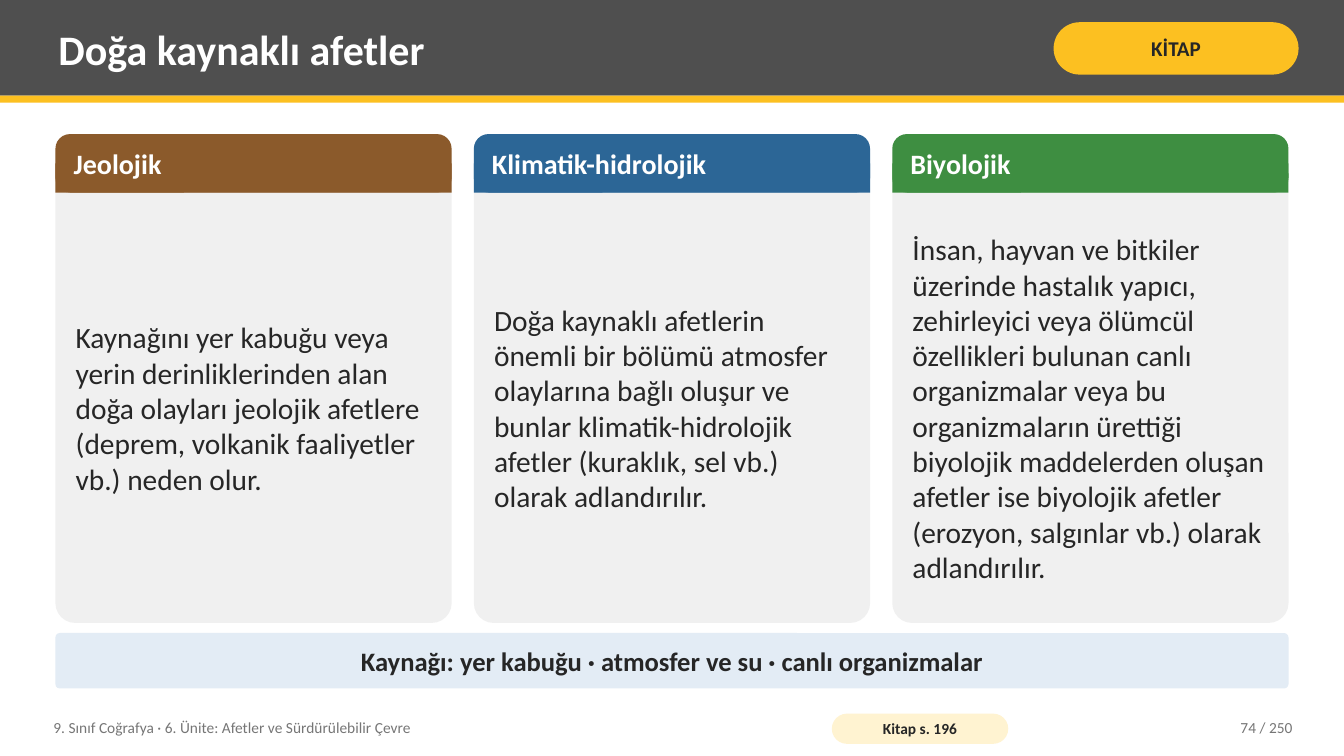
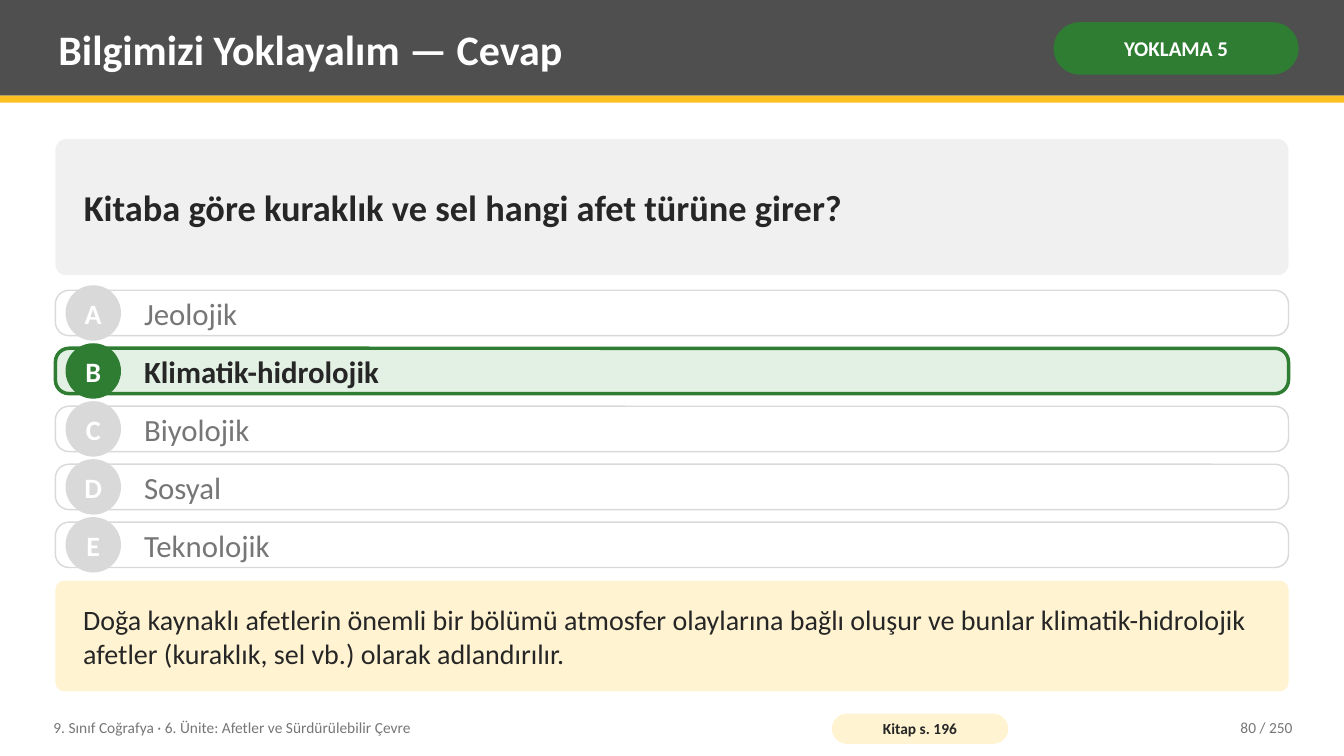
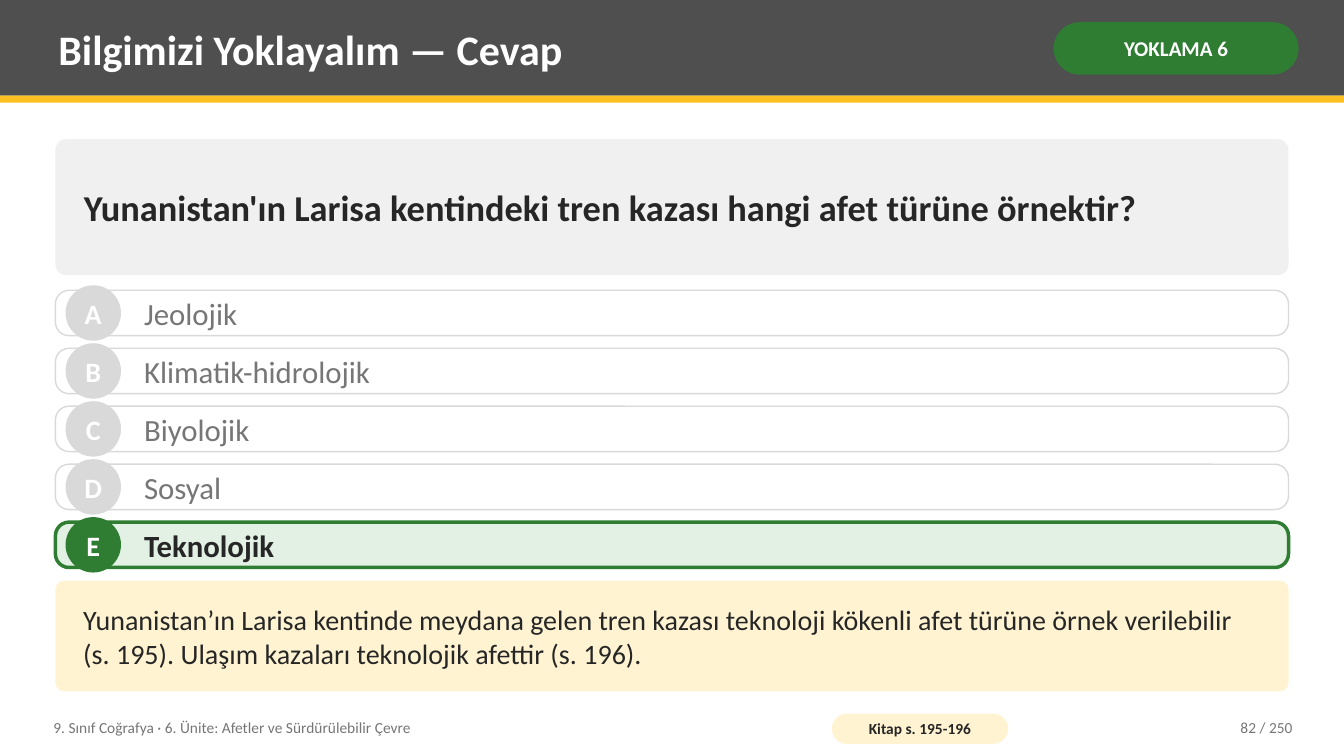
"""Build three geography lesson slides on types of disaster."""
from pptx import Presentation
from pptx import util as u
from pptx.dml.color import RGBColor
from pptx.enum import shapes, text

FACE = "Calibri"
WHITE = RGBColor(0xFF, 0xFF, 0xFF)
INK = RGBColor(0x26, 0x26, 0x26)
SLATE = RGBColor(0x4F, 0x4F, 0x4F)
MUTED = RGBColor(0x76, 0x76, 0x76)
RULE = RGBColor(0xD9, 0xD9, 0xD9)
PANEL = RGBColor(0xF0, 0xF0, 0xF0)
GOLD = RGBColor(0xFC, 0xC0, 0x21)
CREAM = RGBColor(0xFF, 0xF3, 0xD1)
GREEN = RGBColor(0x2E, 0x7D, 0x32)
MINT = RGBColor(0xE3, 0xF1, 0xE4)
SKY = RGBColor(0xE3, 0xEC, 0xF5)
BROWN = RGBColor(0x8B, 0x5A, 0x2B)
BLUE = RGBColor(0x2C, 0x66, 0x96)
LEAF = RGBColor(0x3E, 0x8E, 0x41)

RECT = shapes.MSO_SHAPE.RECTANGLE
ROUND = shapes.MSO_SHAPE.ROUNDED_RECTANGLE
OVAL = shapes.MSO_SHAPE.OVAL
LEFT, MID, RIGHT = text.PP_ALIGN.LEFT, text.PP_ALIGN.CENTER, text.PP_ALIGN.RIGHT

WIDE, HIGH = 13.33, 7.5
EDGE, SPAN = 0.55, 12.23
UNIT = "9. Sınıf Coğrafya · 6. Ünite: Afetler ve Sürdürülebilir Çevre"
TOTAL = 250

KINDS = [
    ("Jeolojik", BROWN,
     "Kaynağını yer kabuğu veya yerin derinliklerinden alan doğa olayları "
     "jeolojik afetlere (deprem, volkanik faaliyetler vb.) neden olur."),
    ("Klimatik-hidrolojik", BLUE,
     "Doğa kaynaklı afetlerin önemli bir bölümü atmosfer olaylarına bağlı "
     "oluşur ve bunlar klimatik-hidrolojik afetler (kuraklık, sel vb.) "
     "olarak adlandırılır."),
    ("Biyolojik", LEAF,
     "İnsan, hayvan ve bitkiler üzerinde hastalık yapıcı, zehirleyici veya "
     "ölümcül özellikleri bulunan canlı organizmalar veya bu organizmaların "
     "ürettiği biyolojik maddelerden oluşan afetler ise biyolojik afetler "
     "(erozyon, salgınlar vb.) olarak adlandırılır."),
]
CHOICES = [name for name, _, _ in KINDS] + ["Sosyal", "Teknolojik"]
QUIZZES = [
    ("YOKLAMA 5", "Kitap s. 196", 80, "B",
     "Kitaba göre kuraklık ve sel hangi afet türüne girer?", KINDS[1][2]),
    ("YOKLAMA 6", "Kitap s. 195-196", 82, "E",
     "Yunanistan'ın Larisa kentindeki tren kazası hangi afet türüne örnektir?",
     "Yunanistan’ın Larisa kentinde meydana gelen tren kazası teknoloji kökenli "
     "afet türüne örnek verilebilir (s. 195). Ulaşım kazaları teknolojik "
     "afettir (s. 196)."),
]


def assign(item, form):
    """Set each attribute named in a dict."""
    for name, value in form.items():
        setattr(item, name, value)


def write(shape, words, size, color=INK, bold=False, align=LEFT,
          pad=(0.08, 0.04), wrap=True):
    """Put one styled paragraph, centred vertically, into a shape."""
    side, top = map(u.Inches, pad)
    frame = shape.text_frame
    assign(frame, {"margin_left": side, "margin_right": side,
                   "margin_top": top, "margin_bottom": top,
                   "word_wrap": wrap,
                   "vertical_anchor": text.MSO_ANCHOR.MIDDLE})
    para = frame.paragraphs[0]
    para.alignment = align
    run = para.add_run()
    run.text = words
    assign(run.font, {"name": FACE, "size": u.Pt(size), "bold": bold})
    run.font.color.rgb = color


def label(slide, box, words, size, **form):
    """Add a text box."""
    write(slide.shapes.add_textbox(*map(u.Inches, box)), words, size, **form)


def block(slide, kind, box, fill, bend=None, line=None, weight=1):
    """Add a flat filled shape and return it."""
    shape = slide.shapes.add_shape(kind, *map(u.Inches, box))
    shape.shadow.inherit = False
    shape.fill.solid()
    shape.fill.fore_color.rgb = fill
    if bend is not None:
        shape.adjustments[0] = bend
    if line is None:
        shape.line.fill.background()
    else:
        shape.line.color.rgb = line
        shape.line.width = u.Pt(weight)
    return shape


def strip(slide, top, high, fill, words, size, side=0.25, **form):
    """Add a full-width rounded panel with text."""
    shape = block(slide, ROUND, (EDGE, top, SPAN, high), fill, 0.08)
    write(shape, words, size, pad=(side, 0.08), **form)


def pill(slide, box, fill, words, size, color, pad):
    """Add a capsule with bold centred text."""
    shape = block(slide, ROUND, box, fill, 0.5)
    write(shape, words, size, color, True, MID, pad)


def start(deck, title, tag, fill, color, source, page):
    """Add a slide with its header and footer."""
    slide = deck.slides.add_slide(deck.slide_layouts[6])
    block(slide, RECT, (0, 0, WIDE, 0.95), SLATE)
    block(slide, RECT, (0, 0.95, WIDE, 0.07), GOLD)
    label(slide, (0.5, 0.07, 9.75, 0.82), title, 30, color=WHITE, bold=True)
    pill(slide, (10.45, 0.22, 2.43, 0.52), fill, tag, 15, color, (0.05, 0.02))
    label(slide, (0.45, 7.04, 7.6, 0.36), UNIT, 11, color=MUTED)
    pill(slide, (8.25, 7.08, 1.75, 0.3), CREAM, source, 11, INK, (0.04, 0))
    label(slide, (11.3, 7.04, 1.6, 0.36), f"{page} / {TOTAL}", 11,
          color=MUTED, align=RIGHT)
    return slide


def card(slide, left, name, fill, body):
    """Add a column card with a coloured heading."""
    top, wide, head = 1.33, 3.93, 0.58
    block(slide, ROUND, (left, top, wide, 4.85), PANEL, 0.05)
    block(slide, ROUND, (left, top, wide, head), fill, 0.25)
    block(slide, RECT, (left, top + head / 2, wide, head / 2), fill)
    label(slide, (left + 0.1, top, wide - 0.2, head), name, 20,
          color=WHITE, bold=True)
    label(slide, (left + 0.12, 1.99, wide - 0.24, 4.11), body, 21)


def choice(slide, top, mark, words, right):
    """Add one answer row, highlighted when it is right."""
    high, disc = 0.45, 0.55
    tone = GREEN if right else RULE
    block(slide, ROUND, (EDGE, top, SPAN, high), MINT if right else WHITE,
          0.3, tone, 2.5 if right else 1)
    dot = block(slide, OVAL, (0.65, top + (high - disc) / 2, disc, disc), tone)
    write(dot, mark, 20, WHITE, True, MID, (0, 0), False)
    label(slide, (1.35, top, 11.23, high), words, 22,
          color=INK if right else MUTED, bold=right)


def lesson(deck):
    """Build the slide that compares the kinds of disaster."""
    slide = start(deck, "Doğa kaynaklı afetler", "KİTAP", GOLD, INK,
                  "Kitap s. 196", 74)
    for i, kind in enumerate(KINDS):
        card(slide, EDGE + 4.15 * i, *kind)
    strip(slide, 6.28, 0.55, SKY,
          "Kaynağı: yer kabuğu · atmosfer ve su · canlı organizmalar", 19,
          side=0.14, bold=True, align=MID)


def quiz(deck, tag, source, page, key, ask, why):
    """Build a question slide with its answer shown."""
    slide = start(deck, "Bilgimizi Yoklayalım — Cevap", tag, GREEN, WHITE,
                  source, page)
    strip(slide, 1.38, 1.35, PANEL, ask, 26, bold=True)
    for i, (mark, words) in enumerate(zip("ABCDE", CHOICES)):
        choice(slide, 2.88 + 2.3 * i / 4, mark, words, mark == key)
    strip(slide, 5.76, 1.1, CREAM, why, 20)


def main():
    """Build and save the deck."""
    deck = Presentation()
    assign(deck, {"slide_width": u.Inches(WIDE), "slide_height": u.Inches(HIGH)})
    lesson(deck)
    for item in QUIZZES:
        quiz(deck, *item)
    deck.save("out.pptx")


if __name__ == "__main__":
    main()
